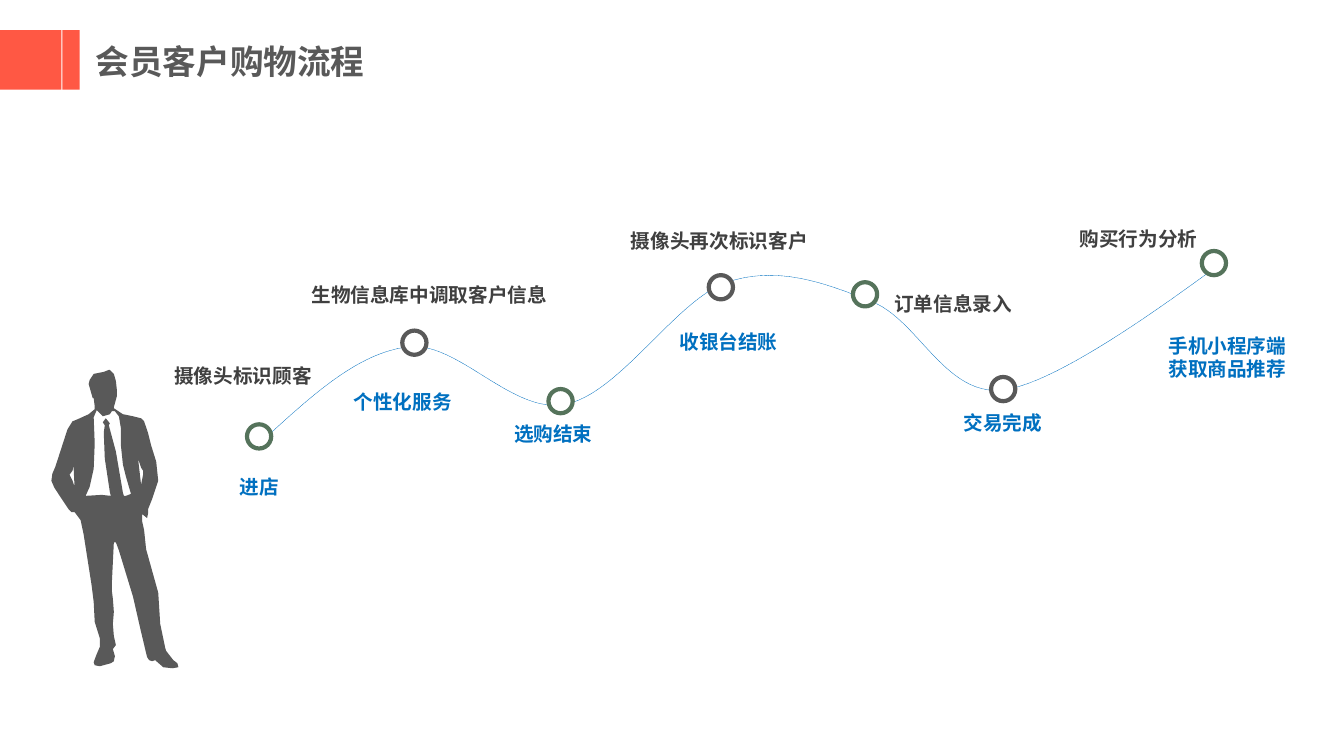
from lxml.etree import SubElement
from pptx import Presentation
from pptx.dml.color import RGBColor as RGB
from pptx.enum.dml import MSO_LINE as Dash
from pptx.enum.shapes import MSO_SHAPE as Kind
from pptx.oxml.ns import qn
from pptx.util import Inches, Pt

FONT = "Noto Sans CJK SC"
HUES = {"blue": "0070C0", "dark": "404040", "gray": "595959",
        "green": "55735B", "red": "FF5844", "white": "FFFFFF"}
HUES = {name: RGB.from_string(code) for name, code in HUES.items()}

# Grid of 133.3 columns by 75 rows
CELL = Inches(0.1)
FINE = CELL // 10

deck = Presentation()
deck.slide_width, deck.slide_height = Inches(13.33), Inches(7.5)
slide = deck.slides.add_slide(deck.slide_layouts[6])
shapes = slide.shapes


def write(text, col, row, cols, rows=3.4, hue="dark", size=14):
    box = shapes.add_textbox(*(int(n * CELL) for n in (col, row, cols, rows)))
    frame = box.text_frame
    frame.word_wrap = True
    for i, line in enumerate(text.split("\n")):
        para = frame.paragraphs[0] if i == 0 else frame.add_paragraph()
        run = para.add_run()
        run.text = line
        font = run.font
        font.name, font.size, font.bold = FONT, Pt(size), True
        font.color.rgb = HUES[hue]
        SubElement(run._r.get_or_add_rPr(), qn("a:ea"), typeface=FONT)


def draw(kind, col, row, cols, rows, fill, line=None):
    shape = shapes.add_shape(kind, *(int(n * CELL) for n in (col, row, cols, rows)))
    shape.shadow.inherit = False
    shape.fill.solid()
    shape.fill.fore_color.rgb = HUES[fill]
    if line:
        shape.line.color.rgb = HUES[line]
        shape.line.width = Pt(3)
    else:
        shape.line.fill.background()


# Wavy path: cubic curves, each as (handle, handle, end), in cells
start = (26.7, 43.1)
waves = [
    ((31.2, 39), (35.7, 34.9), (40.6, 34.4)),
    ((45.5, 33.9), (50.9, 41.2), (56.1, 40.1)),
    ((61.4, 39.1), (67.1, 29.7), (72.1, 28)),
    ((77.2, 26.3), (81.9, 28.1), (86.4, 29.9)),
    ((91, 31.6), (93.7, 39.3), (99.4, 38.7)),
    ((105.2, 38.1), (117.9, 28.4), (120.9, 26.3)),
]
STEPS = 24
dots, last = [], start
for wave in waves:
    for i in range(1, STEPS + 1):
        t = i / STEPS
        parts = ((1 - t) ** 3, 3 * t * (1 - t) ** 2, 3 * t * t * (1 - t), t ** 3)
        dots.append([sum(p * n * CELL for p, n in zip(parts, axis))
                     for axis in zip(last, *wave)])
    last = wave[-1]
pen = shapes.build_freeform(start[0] * CELL, start[1] * CELL)
pen.add_line_segments(dots, close=False)
wavy = pen.convert_to_shape()
wavy.shadow.inherit = False
wavy.fill.background()
wavy.line.color.rgb = HUES["blue"]
wavy.line.width = Pt(0.25)
wavy.line.dash_style = Dash.SQUARE_DOT

# Shopper: body outline, then right arm gap, shirt and left arm gap, in tenths of a cell
body = [
    (172, 655), (165, 646), (164, 643), (159, 619), (157, 588), (145, 545),
    (143, 526), (141, 517), (141, 510), (146, 514), (147, 509), (147, 505),
    (151, 495), (157, 477), (155, 458), (150, 442), (147, 430), (143, 418),
    (140, 415), (132, 413), (122, 411), (113, 405), (113, 404), (116, 393),
    (116, 387), (115, 378), (113, 371), (109, 367), (108, 367), (103, 369),
    (93, 371), (89, 377), (88, 381), (90, 388), (92, 395), (93, 395),
    (94, 403), (94, 406), (88, 411), (77, 416), (72, 418), (67, 426),
    (55, 463), (52, 470), (51, 477), (54, 484), (68, 505), (71, 508),
    (74, 508), (77, 512), (80, 516), (83, 530), (91, 581), (93, 597),
    (94, 617), (99, 633), (99, 642), (96, 649), (93, 657), (94, 660),
    (99, 661), (110, 658), (113, 656), (114, 651), (112, 644), (115, 640),
    (113, 631), (112, 619), (113, 607), (112, 594), (111, 586), (111, 579),
    (112, 558), (113, 538), (115, 538), (118, 546), (132, 592), (140, 627),
    (141, 631), (145, 648), (146, 652), (148, 655), (151, 656), (154, 655),
    (162, 662), (171, 663), (177, 662), (176, 658),
]
gaps = [
    [(74, 483), (72, 477), (69, 471), (72, 467), (73, 462)],
    [(125, 492), (123, 492), (122, 489), (115, 448), (108, 422), (109, 420),
     (105, 415), (102, 419), (104, 422), (103, 429), (104, 455), (109, 488),
     (110, 492), (101, 491), (85, 492), (89, 483), (93, 465), (94, 440),
     (93, 414), (96, 407), (102, 413), (109, 411), (111, 408), (114, 408),
     (118, 413), (120, 425), (120, 442), (122, 461), (125, 473), (130, 490)],
    [(140, 481), (139, 472), (137, 455), (140, 464), (142, 467), (142, 471)],
]
pen = shapes.build_freeform(*body[0], scale=FINE)
pen.add_line_segments(body[1:])
for gap in gaps:
    pen.move_to(*gap[0])
    pen.add_line_segments(gap[1:])
man = pen.convert_to_shape()
man.shadow.inherit = False
man.fill.solid()
man.fill.fore_color.rgb = HUES["gray"]
man.line.fill.background()

# Stops along the path, in turn green and gray
stops = [(24.5, 42.1), (39.9, 32.8), (54.4, 38.6), (70.3, 27.3),
         (84.6, 28), (98.3, 37.4), (119.2, 24.9)]
for i, (col, row) in enumerate(stops):
    draw(Kind.OVAL, col, row, 2.4, 2.4, "white", ("green", "gray")[i % 2])

# What the system does
for text, col, row, cols in [
    ("摄像头标识顾客", 16.3, 35.6, 31.9),
    ("生物信息库中调取客户信息", 29.9, 27.6, 27.5),
    ("摄像头再次标识客户", 61.6, 22.2, 23.4),
    ("订单信息录入", 87.7, 28.5, 16.5),
    ("购买行为分析", 106.1, 22, 13.8),
]:
    write(text, col, row, cols)

# What the shopper does
for text, col, row, cols in [
    ("进店", 22.8, 46.6, 5.9),
    ("个性化服务", 34.1, 38.2, 16.4),
    ("选购结束", 50, 41.4, 16.4),
    ("收银台结账", 66.4, 32.2, 12.5),
    ("交易完成", 94.6, 40.3, 9.9),
]:
    write(text, col, row, cols, hue="blue")
write("手机小程序端\n获取商品推荐", 114.9, 32.6, 18, 5.7, hue="blue")

# Title with its two bars
for col, cols in [(0, 6.1), (6.2, 1.7)]:
    draw(Kind.RECTANGLE, col, 3, cols, 5.9, "red")
write("会员客户购物流程", 8.5, 3.6, 41.5, 5.1, hue="gray", size=24)

deck.save("out.pptx")
